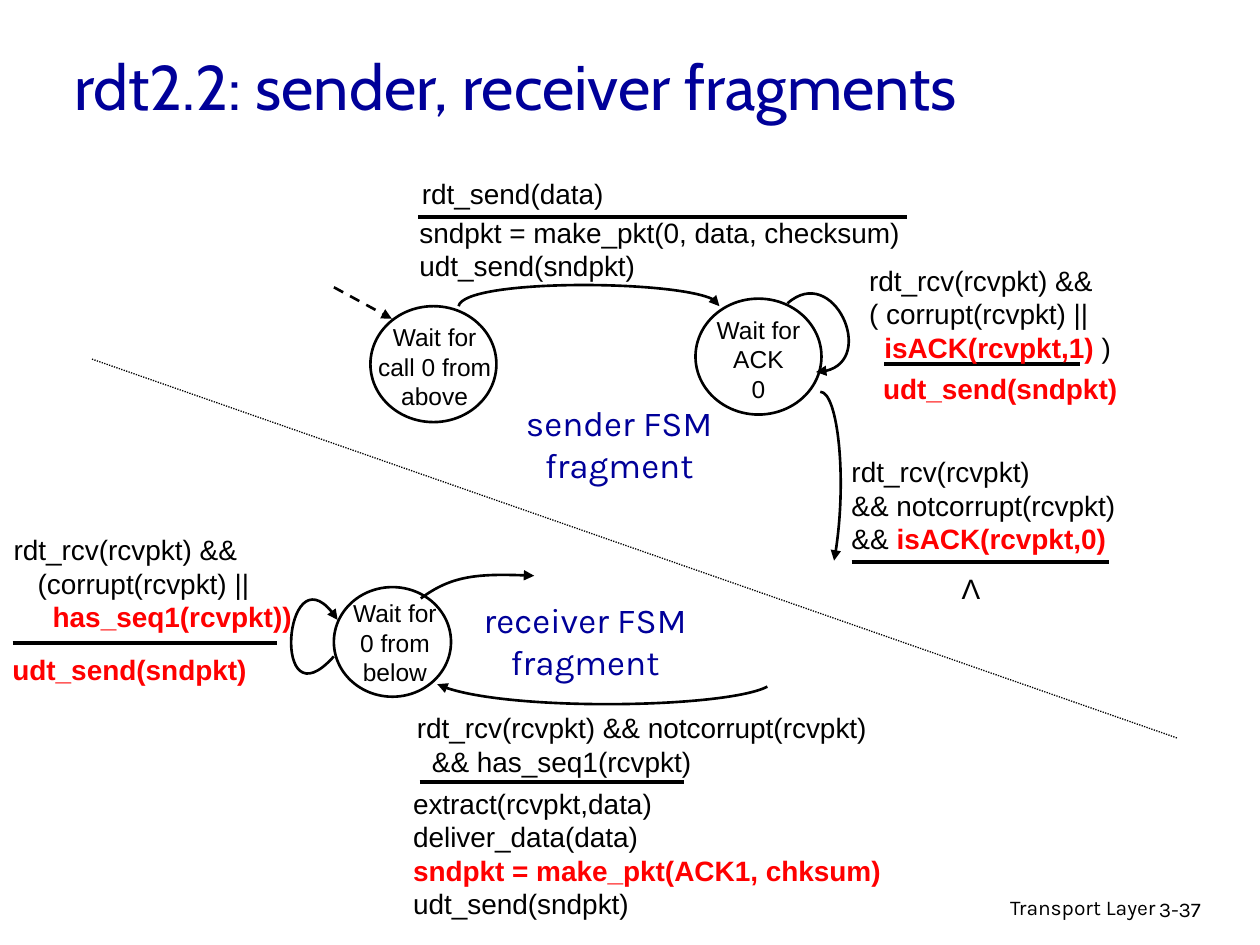
from lxml import etree
from pptx import Presentation
from pptx.dml.color import RGBColor
from pptx.enum.dml import MSO_LINE
from pptx.enum.shapes import MSO_CONNECTOR, MSO_SHAPE
from pptx.enum.text import MSO_ANCHOR, PP_ALIGN
from pptx.oxml.ns import qn
from pptx.util import Inches, Pt

BLACK, RED, NAVY, WHITE = "000000", "FF0000", "000099", "FFFFFF"
LEFT, CENTER, RIGHT = PP_ALIGN.LEFT, PP_ALIGN.CENTER, PP_ALIGN.RIGHT


def color(hex_string):
    return RGBColor.from_string(hex_string)


def add_text(box, paragraphs, size=16, font="Arial", ink=BLACK, align=LEFT):
    """Each paragraph is (indent in inches, runs); red runs are bold."""
    left, top, width, height = map(Inches, box)
    frame = slide.shapes.add_textbox(left, top, width, height).text_frame
    frame.word_wrap = True
    for index, (indent, runs) in enumerate(paragraphs):
        paragraph = frame.paragraphs[0] if index == 0 else frame.add_paragraph()
        paragraph.alignment = align
        if indent:
            properties = paragraph._p.get_or_add_pPr()
            properties.set("marL", str(Inches(indent)))
            properties.set("indent", "0")
        for text, run_color in runs:
            run = paragraph.add_run()
            run.text = text
            run.font.name = font
            run.font.size = Pt(size)
            run.font.bold = run_color == RED
            run.font.color.rgb = color(run_color or ink)
    return frame


presentation = Presentation()
presentation.slide_width = Inches(10)
presentation.slide_height = Inches(7.5)
slide = presentation.slides.add_slide(presentation.slide_layouts[6])

# Title and footer
title = add_text((0.49, 0.19, 8.5, 0.97),
                 [(0, [("rdt2.2: sender, receiver fragments", None)])],
                 36, "Cabin", NAVY)
title.vertical_anchor = MSO_ANCHOR.MIDDLE
add_text((6.1, 7.05, 3.17, 0.31), [(0, [("Transport Layer", None)])],
         12, "Karla", align=RIGHT)
add_text((9.1, 7.07, 0.74, 0.3), [(0, [("3-37", None)])], 12, "Karla")

# States: circle, label box, label lines
states = [
    ((2.94, 2.43, 1, 0.92), (2.87, 2.51, 1.16, 0.67),
     ["Wait for call 0 from above"]),
    ((5.52, 2.37, 1, 0.92), (5.44, 2.45, 1.16, 0.67), ["Wait for ACK", "0"]),
    ((2.65, 4.66, 0.93, 0.87), (2.7, 4.7, 0.87, 0.67),
     ["Wait for", "0 from below"]),
]
for circle, label_box, label in states:
    shape = slide.shapes.add_shape(MSO_SHAPE.OVAL, *map(Inches, circle))
    shape.shadow.inherit = False
    shape.fill.solid()
    shape.fill.fore_color.rgb = color(WHITE)
    shape.line.color.rgb = color(BLACK)
    shape.line.width = Pt(1.5)
    add_text(label_box, [(0, [(line, None)]) for line in label], 14, align=CENTER)

# Names of the two fragments
for box, name in [((4.05, 3.14, 1.73, 0.77), "sender FSM"),
                  ((3.71, 4.7, 1.87, 0.77), "receiver FSM")]:
    add_text(box, [(0, [(name, None)]), (0, [("fragment", None)])],
             20, "Karla", NAVY, CENTER)

# Straight lines: start, end, width, dash, arrow
lines = [
    ((3.32, 1.72), (7.2, 1.72), 2.25, None, False),
    ((7.02, 2.89), (8.57, 2.89), 2.25, None, False),
    ((6.76, 4.46), (8.8, 4.46), 2.25, None, False),
    ((3.33, 6.21), (5.43, 6.21), 2.25, None, False),
    ((0.1, 5.1), (2.2, 5.1), 2.25, None, False),
    ((2.65, 2.28), (3.11, 2.53), 1.5, MSO_LINE.DASH, True),
    ((0.73, 2.85), (9.35, 5.86), 0.75, MSO_LINE.ROUND_DOT, False),
]
for start, end, width, dash, arrow in lines:
    connector = slide.shapes.add_connector(
        MSO_CONNECTOR.STRAIGHT, *map(Inches, start + end))
    connector.line.color.rgb = color(BLACK)
    connector.line.width = Pt(width)
    if dash:
        connector.line.dash_style = dash
    properties = connector.element.spPr
    if arrow:
        outline = properties.find(qn("a:ln"))
        etree.SubElement(outline, qn("a:tailEnd")).set("type", "triangle")
    etree.SubElement(properties, qn("a:effectLst"))

# Curved transitions: start, two control points, end, and rotation
curves = [
    ([(3.64, 2.43), (3.68, 2.21), (5.71, 2.22), (5.71, 2.43)], 0),
    ([(6.35, 2.29), (6.81, 2.13), (6.84, 3.07), (6.35, 2.88)], 337.4),
    ([(6.51, 3.11), (6.65, 3.11), (6.73, 3.85), (6.62, 4.45)], 0),
    ([(3.34, 4.75), (3.58, 4.57), (3.82, 4.55), (4.24, 4.57)], 0),
    ([(6.09, 5.45), (5.76, 5.62), (3.93, 5.65), (3.47, 5.43)], 0),
    ([(2.65, 5.21), (2.15, 5.77), (2.26, 4.28), (2.68, 4.92)], 0),
]
for points, rotation in curves:
    start, *others = [(Inches(x), Inches(y)) for x, y in points]
    builder = slide.shapes.build_freeform(*start)
    builder.add_line_segments(others, close=False)
    shape = builder.convert_to_shape()
    shape.rotation = rotation
    shape.shadow.inherit = False
    shape.fill.background()
    shape.line.color.rgb = color(BLACK)
    shape.line.width = Pt(1.5)
    # Merge the three segments into one Bezier curve
    outline_path = shape.element.spPr.find(".//" + qn("a:path"))
    curve = etree.SubElement(outline_path, qn("a:cubicBezTo"))
    for segment in outline_path.findall(qn("a:lnTo")):
        curve.append(segment[0])
        outline_path.remove(segment)
    outline = shape.element.spPr.find(qn("a:ln"))
    etree.SubElement(outline, qn("a:tailEnd")).set("type", "triangle")

# Events and actions
labels = [
    ((3.25, 1.35, 1.89, 0.31), [(0, [("rdt_send(data)", None)])]),
    ((3.23, 1.66, 4.07, 0.44), [
        (0, [("sndpkt = make_pkt(0, data, checksum)", None)]),
        (0, [("udt_send(sndpkt)", None)])]),
    ((6.8, 2.04, 2.97, 0.63), [
        (0, [("rdt_rcv(rcvpkt) &&", None)]),
        (0, [("( corrupt(rcvpkt) ||", None)]),
        (0.12, [("isACK(rcvpkt,1)", RED), (" )", None)])]),
    ((6.91, 2.9, 2.32, 0.44), [(0, [("udt_send(sndpkt)", RED)])]),
    ((6.66, 3.56, 2.64, 0.63), [
        (0, [("rdt_rcv(rcvpkt)", None)]),
        (0, [("&& notcorrupt(rcvpkt)", None)]),
        (0, [("&& ", None), ("isACK(rcvpkt,0)", RED)])]),
    ((0.01, 4.18, 2.58, 0.7), [
        (0, [("rdt_rcv(rcvpkt) &&", None)]),
        (0.19, [("(corrupt(rcvpkt) ||", None)]),
        (0.31, [("has_seq1(rcvpkt))", RED)])]),
    ((0, 5.13, 2.23, 0.45), [(0, [("udt_send(sndpkt)", RED)])]),
    ((3.21, 5.59, 4.31, 0.63), [
        (0, [("rdt_rcv(rcvpkt) && notcorrupt(rcvpkt)", None)]),
        (0.12, [("&& has_seq1(rcvpkt)", None)])]),
    ((3.18, 6.19, 4.57, 0.76), [
        (0, [("extract(rcvpkt,data)", None)]),
        (0, [("deliver_data(data)", None)]),
        (0, [("sndpkt = make_pkt(ACK1, chksum)", RED)]),
        (0, [("udt_send(sndpkt)", None)])]),
]
for box, paragraphs in labels:
    add_text(box, paragraphs)
add_text((7.5, 4.49, 0.41, 0.37), [(0, [("Λ", None)])], align=CENTER)

presentation.save("out.pptx")
